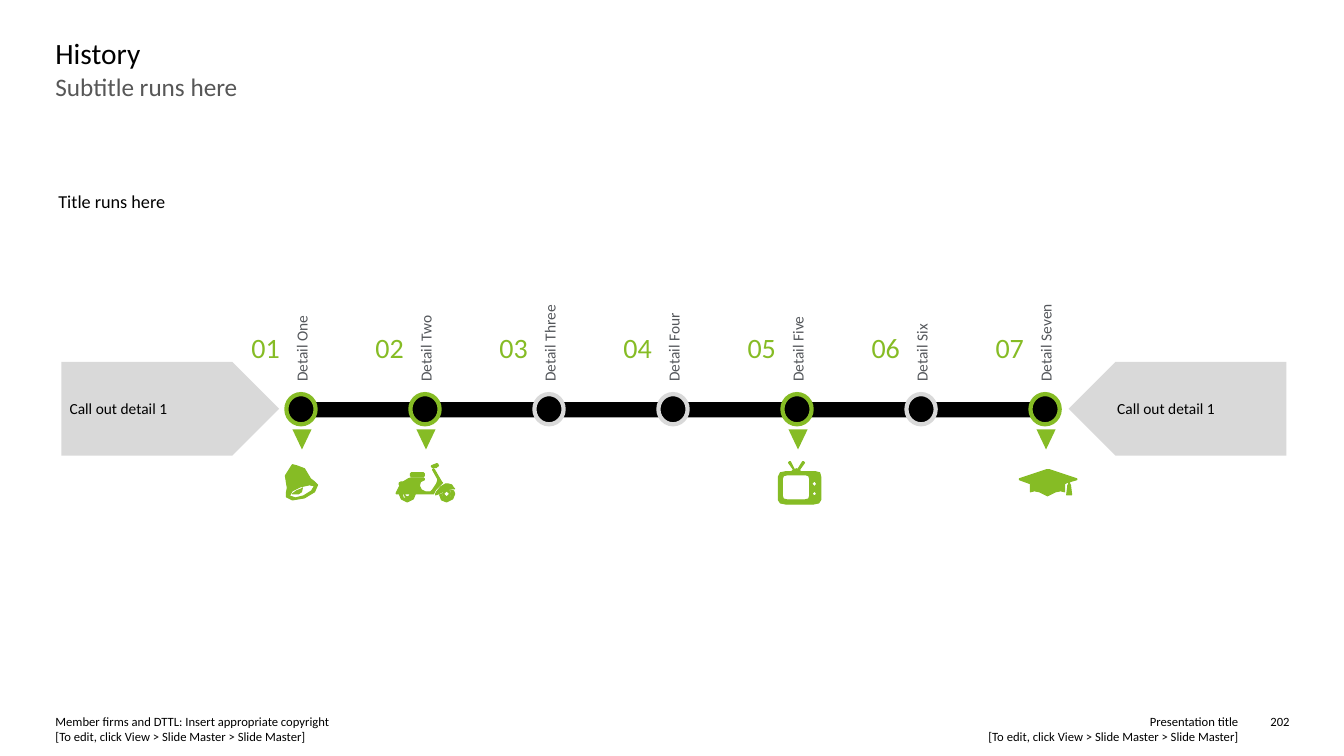
from dataclasses import dataclass
from typing import Optional

from pptx import Presentation
from pptx.dml.color import RGBColor
from pptx.enum.shapes import MSO_SHAPE
from pptx.enum.text import MSO_ANCHOR, PP_ALIGN
from pptx.shapes.autoshape import Shape
from pptx.slide import Slide
from pptx.util import Inches, Pt

Contour = tuple[tuple[int, int], ...]


@dataclass(frozen=True)
class Theme:
    """Fonts, colours and type sizes of the slide."""

    font: str = "Calibri"
    black: str = "000000"
    green: str = "86BC25"
    silver: str = "D9D9D9"
    subtitle_grey: str = "575757"
    label_grey: str = "53565A"
    title_size: int = 21
    number_size: int = 20
    subtitle_size: int = 18
    heading_size: int = 13
    label_size: int = 11
    footer_size: int = 9


@dataclass(frozen=True)
class Icon:
    """An outline at a place in inches, with points in hundredths of an inch."""

    left: float
    top: float
    contours: tuple[Contour, ...]


@dataclass(frozen=True)
class Milestone:
    """One stop on the timeline, highlighted when it has an icon."""

    label: str
    icon: Optional[Icon] = None
    label_length: float = 1.26


@dataclass(frozen=True)
class Callout:
    """A pointed block at one end of the timeline."""

    left: float
    text_left: float
    flip: str = ""


THEME = Theme()
STEP = 1.23
EDIT_HINT = "[To edit, click View > Slide Master > Slide Master]"

BELL = Icon(2.82, 4.6, (
    ((26, 15), (20, 5), (12, 2), (8, 1), (6, 4), (1, 12), (3, 24), (2, 29), (2, 33), (8, 36),
     (20, 34), (30, 28), (33, 21), (30, 18)),
    ((19, 32), (11, 34), (5, 32), (8, 27), (16, 23), (25, 21), (30, 22), (27, 27)),
    ((17, 25), (12, 27), (8, 30), (14, 30), (17, 28), (18, 24)),
))
SCOOTER = Icon(3.93, 4.6, (
    ((40, 0), (40, 4), (36, 4), (35, 3), (35, 2)),
    ((41, 0), (41, 3), (42, 2)),
    ((28, 10), (27, 9), (15, 9), (14, 10), (14, 12), (15, 13), (27, 13), (28, 12)),
    ((54, 26), (55, 30), (54, 33), (50, 35), (46, 33), (45, 30), (43, 31), (45, 36), (50, 38),
     (56, 35), (58, 30), (57, 27)),
    ((50, 26), (53, 27), (54, 30), (53, 33), (50, 34), (47, 33), (46, 30), (47, 28)),
    ((50, 27), (53, 30), (50, 33), (47, 30)),
    ((57, 25), (54, 25), (48, 27), (42, 30), (39, 31), (39, 30), (40, 28), (44, 23), (49, 20),
     (51, 20), (55, 21), (57, 24), (58, 25)),
    ((45, 18), (38, 6), (37, 5), (36, 6), (41, 15), (41, 17), (40, 20), (36, 26), (34, 28),
     (29, 28), (25, 26), (23, 22), (24, 18), (28, 16), (28, 15), (27, 14), (15, 14), (12, 15),
     (7, 18), (5, 18), (3, 19), (3, 21), (4, 21), (0, 29), (0, 30), (3, 30), (5, 35), (11, 38),
     (17, 35), (19, 30), (37, 30), (39, 26), (42, 23), (46, 19)),
    ((14, 30), (13, 32), (11, 33), (9, 32), (8, 30)),
    ((11, 35), (7, 34), (6, 30), (8, 30), (9, 33), (11, 34), (14, 33), (15, 30), (16, 30),
     (15, 34)),
))
TELEVISION = Icon(7.72, 4.57, (
    ((37, 11), (22, 11), (21, 9), (26, 2), (25, 1), (24, 1), (19, 9), (18, 8), (16, 9), (12, 1),
     (11, 1), (10, 2), (15, 9), (13, 11), (7, 11), (2, 12), (0, 16), (0, 39), (2, 42), (7, 43),
     (35, 43), (40, 42), (42, 39), (42, 16), (41, 12)),
    ((31, 35), (30, 38), (26, 39), (9, 39), (5, 38), (4, 35), (4, 18), (5, 15), (9, 14),
     (27, 14), (30, 15), (31, 18)),
    ((36, 35), (33, 33), (36, 30), (38, 33)),
    ((36, 26), (33, 23), (36, 20), (38, 23)),
))
GRADUATION_CAP = Icon(10.11, 4.66, (
    ((57, 9), (30, 0), (27, 0), (0, 9), (0, 10), (11, 14), (11, 22), (15, 21), (20, 22),
     (28, 26), (36, 22), (41, 21), (45, 22), (45, 14), (49, 12), (49, 14), (48, 16), (48, 17),
     (47, 25), (52, 25), (51, 17), (51, 16), (50, 14), (50, 12), (57, 10)),
))

MILESTONES = (
    Milestone("Detail One", BELL),
    Milestone("Detail Two", SCOOTER),
    Milestone("Detail Three"),
    Milestone("Detail Four"),
    Milestone("Detail Five", TELEVISION),
    Milestone("Detail Six"),
    Milestone("Detail Seven", GRADUATION_CAP, 1.69),
)
CALLOUTS = (Callout(0.61, 0.69), Callout(10.6, 11.08, "flipH"))


def add_text(page: Slide, text: str, left: float, top: float, width: float, height: float, *,
             size: int, color: str = THEME.black, align: PP_ALIGN = PP_ALIGN.LEFT,
             anchor: MSO_ANCHOR = MSO_ANCHOR.TOP, rotation: int = 0) -> None:
    """Add a text box without margins, one line break per newline."""
    box = page.shapes.add_textbox(Inches(left), Inches(top), Inches(width), Inches(height))
    box.rotation = rotation
    frame = box.text_frame
    frame.word_wrap = True
    frame.vertical_anchor = anchor
    frame.margin_left = frame.margin_right = frame.margin_top = frame.margin_bottom = 0
    para = frame.paragraphs[0]
    para.alignment = align
    for index, line in enumerate(text.split("\n")):
        if index:
            para.add_line_break()
        span = para.add_run()
        span.text = line
        span.font.name = THEME.font
        span.font.size = Pt(size)
        span.font.color.rgb = RGBColor.from_string(color)


def paint(shape: Shape, fill: str, line: str = "", line_width: float = 0) -> None:
    """Give a shape a flat fill and an optional outline."""
    shape.shadow.inherit = False
    shape.fill.solid()
    shape.fill.fore_color.rgb = RGBColor.from_string(fill)
    if line:
        shape.line.color.rgb = RGBColor.from_string(line)
        shape.line.width = Pt(line_width)
    else:
        shape.line.fill.background()


def add_block(page: Slide, kind: MSO_SHAPE, left: float, top: float, width: float,
              height: float, *, fill: str, line: str = "", flip: str = "") -> None:
    """Add a preset shape, mirrored when a flip attribute is named."""
    shape = page.shapes.add_shape(kind, Inches(left), Inches(top), Inches(width), Inches(height))
    paint(shape, fill, line, 3)
    if flip:
        shape._element.spPr.xfrm.set(flip, "1")


def add_icon(page: Slide, icon: Icon) -> None:
    """Draw all contours of an icon as one freeform."""
    builder = page.shapes.build_freeform(*icon.contours[0][0], scale=Inches(0.01))
    for index, contour in enumerate(icon.contours):
        if index:
            builder.move_to(*contour[0])
        builder.add_line_segments(contour[1:], close=True)
    shape = builder.convert_to_shape(Inches(icon.left), Inches(icon.top))
    paint(shape, THEME.green, THEME.green, 0.75)


def add_milestone(page: Slide, index: int, stop: Milestone) -> None:
    """Draw one numbered stop with its upright label."""
    shift = index * STEP
    ring = THEME.green if stop.icon else THEME.silver
    add_block(page, MSO_SHAPE.OVAL, 2.84 + shift, 3.91, 0.29, 0.3, fill=THEME.black, line=ring)
    add_text(page, f"{index + 1:02d}", 2.37 + shift, 3.28, 0.53, 0.45,
             size=THEME.number_size, color=THEME.green, align=PP_ALIGN.CENTER)
    half = stop.label_length / 2
    add_text(page, stop.label, 2.99 + shift - half, 3.66 - half, stop.label_length, 0.25,
             size=THEME.label_size, color=THEME.label_grey, anchor=MSO_ANCHOR.MIDDLE, rotation=270)
    if stop.icon:
        add_block(page, MSO_SHAPE.ISOSCELES_TRIANGLE, 2.9 + shift, 4.26, 0.19, 0.2,
                  fill=THEME.green, flip="flipV")
        add_icon(page, stop.icon)


def main() -> None:
    """Build the history slide and save it."""
    deck = Presentation()
    deck.slide_width, deck.slide_height = Inches(13.33), Inches(7.5)
    page = deck.slides.add_slide(deck.slide_layouts[6])
    add_text(page, "History", 0.55, 0.35, 12.24, 0.37, size=THEME.title_size)
    add_text(page, "Subtitle runs here", 0.55, 0.71, 12.24, 0.83,
             size=THEME.subtitle_size, color=THEME.subtitle_grey)
    add_text(page, "Title runs here", 0.58, 1.89, 9.13, 0.22, size=THEME.heading_size)
    add_block(page, MSO_SHAPE.RECTANGLE, 2.88, 3.99, 7.59, 0.15, fill=THEME.black)
    for callout in CALLOUTS:
        add_block(page, MSO_SHAPE.PENTAGON, callout.left, 3.59, 2.16, 0.93,
                  fill=THEME.silver, flip=callout.flip)
        add_text(page, "Call out detail 1", callout.text_left, 3.93, 1.68, 0.25,
                 size=THEME.label_size, anchor=MSO_ANCHOR.MIDDLE)
    for index, stop in enumerate(MILESTONES):
        add_milestone(page, index, stop)
    add_text(page, f"Member firms and DTTL: Insert appropriate copyright\n{EDIT_HINT}",
             0.55, 7.08, 5.86, 0.3, size=THEME.footer_size)
    add_text(page, f"Presentation title\n{EDIT_HINT}", 6.93, 7.08, 5.35, 0.3,
             size=THEME.footer_size, align=PP_ALIGN.RIGHT)
    add_text(page, "202", 12.45, 7.08, 0.34, 0.15, size=THEME.footer_size, align=PP_ALIGN.RIGHT)
    deck.save("out.pptx")


if __name__ == "__main__":
    main()
